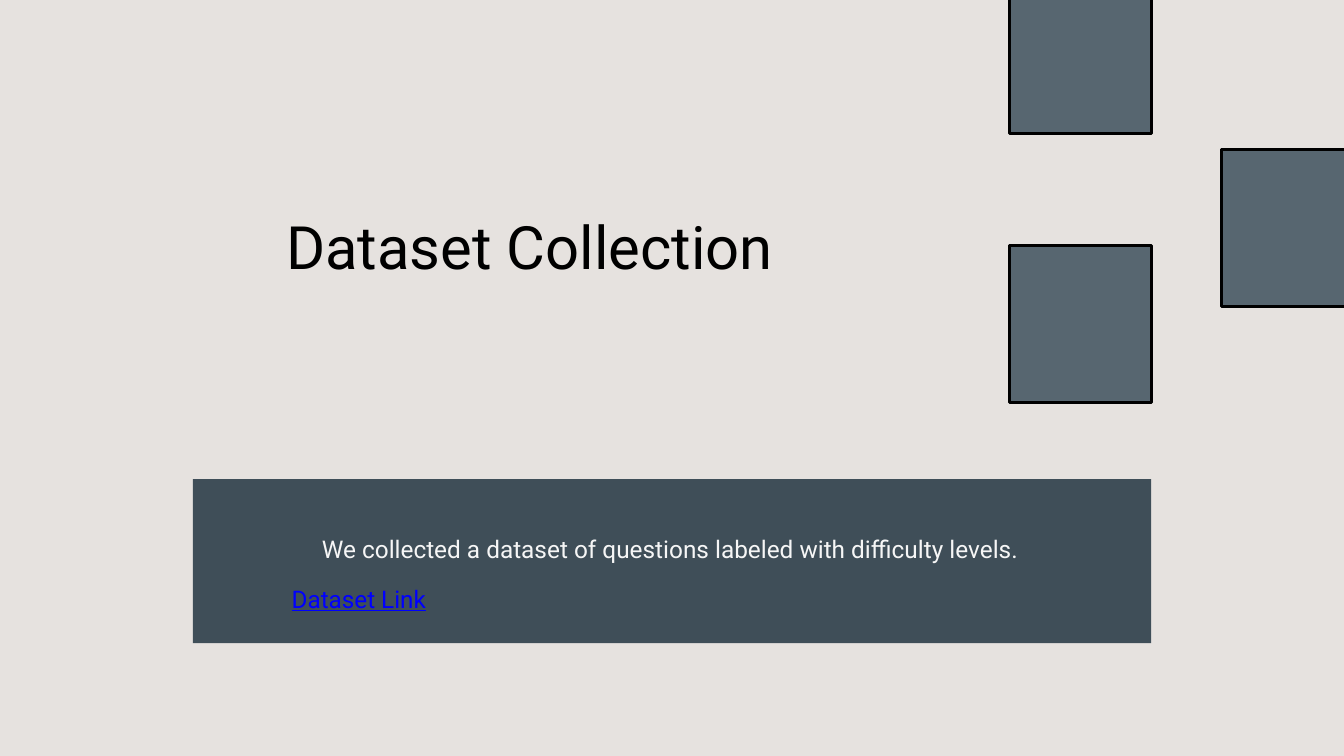
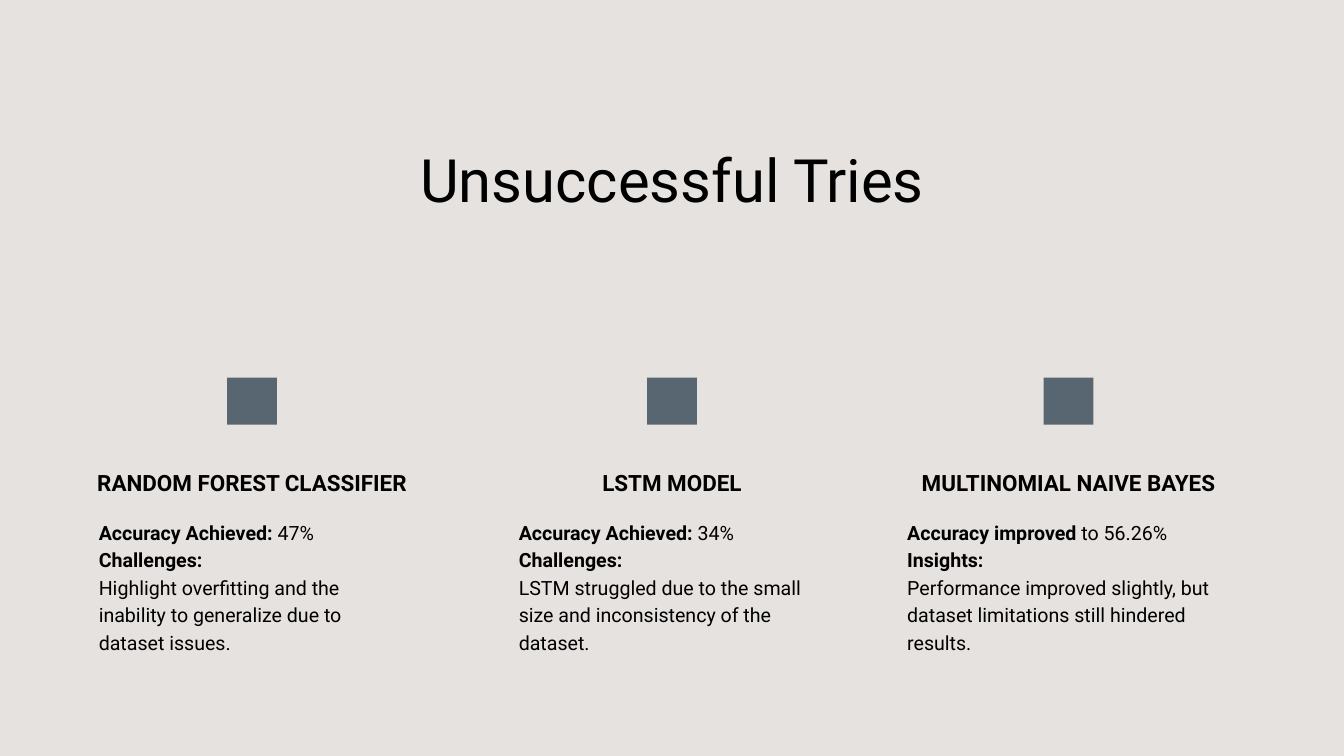
from pptx import Presentation
from pptx import util as u
from pptx.dml.color import RGBColor
from pptx.enum import shapes, text

W, H = u.Inches(20), u.Inches(11.25)
PAPER, SLATE, BAND = "E6E2DF", "576670", "3F4E58"
BLACK, PALE, LINK = "000000", "F6F6F6", "0000FF"
LEFT, CENTER = text.PP_ALIGN.LEFT, text.PP_ALIGN.CENTER
FONT = "Roboto"
TITLE_SIZE = 64
rgb = RGBColor.from_string


def rect(s, x, y, w, h, fill, outline=0):
    sp = s.shapes.add_shape(shapes.MSO_SHAPE.RECTANGLE, int(W * x / 100), int(H * y / 100),
                            int(W * w / 100), int(H * h / 100))
    sp.shadow.inherit = False
    sp.fill.solid()
    sp.fill.fore_color.rgb = rgb(fill)
    if outline:
        sp.line.color.rgb = rgb(BLACK)
        sp.line.width = u.Pt(outline)
    else:
        sp.line.fill.background()


def write(s, x, y, w, h, paragraphs, size, spacing, color=BLACK, align=CENTER, underline=None):
    sp = s.shapes.add_textbox(int(W * x / 100), int(H * y / 100), int(W * w / 100), int(H * h / 100))
    tf = sp.text_frame
    tf.word_wrap = True
    tf.auto_size = text.MSO_AUTO_SIZE.SHAPE_TO_FIT_TEXT
    tf.margin_left = tf.margin_right = tf.margin_top = tf.margin_bottom = 0
    for i, runs in enumerate(paragraphs):
        p = tf.add_paragraph() if i else tf.paragraphs[0]
        p.alignment = align
        p.line_spacing = u.Pt(spacing)
        for words, bold in runs:
            r = p.add_run()
            r.text = words
            r.font.name = FONT
            r.font.size = u.Pt(size)
            r.font.bold = bold
            r.font.underline = underline
            r.font.color.rgb = rgb(color)


prs = Presentation()
prs.slide_width, prs.slide_height = W, H
dataset, tries = [prs.slides.add_slide(prs.slide_layouts[6]) for _ in range(2)]
for s in (dataset, tries):
    s.background.fill.solid()
    s.background.fill.fore_color.rgb = rgb(PAPER)

write(dataset, 14.35, 27.73, 50.1, 9.42, [[("Dataset Collection", False)]], TITLE_SIZE, 76.8)
for x, y in ((75.1, -3.11), (90.9, 19.73), (75.1, 32.44)):
    rect(dataset, x, y, 10.55, 20.8, SLATE, outline=3)
rect(dataset, 14.35, 63.38, 71.3, 21.69, BAND)
write(dataset, 19.35, 70.04, 61.05, 4.18,
      [[("We collected a dataset of questions labeled with difficulty levels.", False)]],
      26.1, 36.6, PALE)
write(dataset, 21.7, 76.62, 56.6, 4.18, [[("Dataset Link", False)]], 26, 36.4, LINK, LEFT, True)

write(tries, 16.65, 17.33, 66.7, 10.67, [[("Unsuccessful Tries", False)]], TITLE_SIZE, 89.6)
models = [
    (18.75, 25.4, 7.35, 22.8, "RANDOM FOREST CLASSIFIER", "Accuracy Achieved: ", "47%", "Challenges:",
     "Highlight overfitting and the inability to generalize due to dataset issues."),
    (50, 22.8, 38.6, 22.8, "LSTM MODEL", "Accuracy Achieved:", " 34%", "Challenges:",
     "LSTM struggled due to the small size and inconsistency of the dataset."),
    (79.5, 24, 67.5, 23.85, "MULTINOMIAL NAIVE BAYES", "Accuracy improved ", "to 56.26%", "Insights:",
     "Performance improved slightly, but dataset limitations still hindered results."),
]
marker_w = 3.7
for center, head_w, body_x, body_w, name, measure, value, label, finding in models:
    rect(tries, center - marker_w / 2, 49.96, marker_w, 6.22, SLATE)
    write(tries, center - head_w / 2, 61.51, head_w, 3.91, [[(name, True)]], 24, 33.6)
    write(tries, body_x, 68.36, body_w, 21.6,
          [[(measure, True), (value, False)], [(label, True)], [(finding, False)]],
          21, 29.4, align=LEFT)

prs.save("out.pptx")
